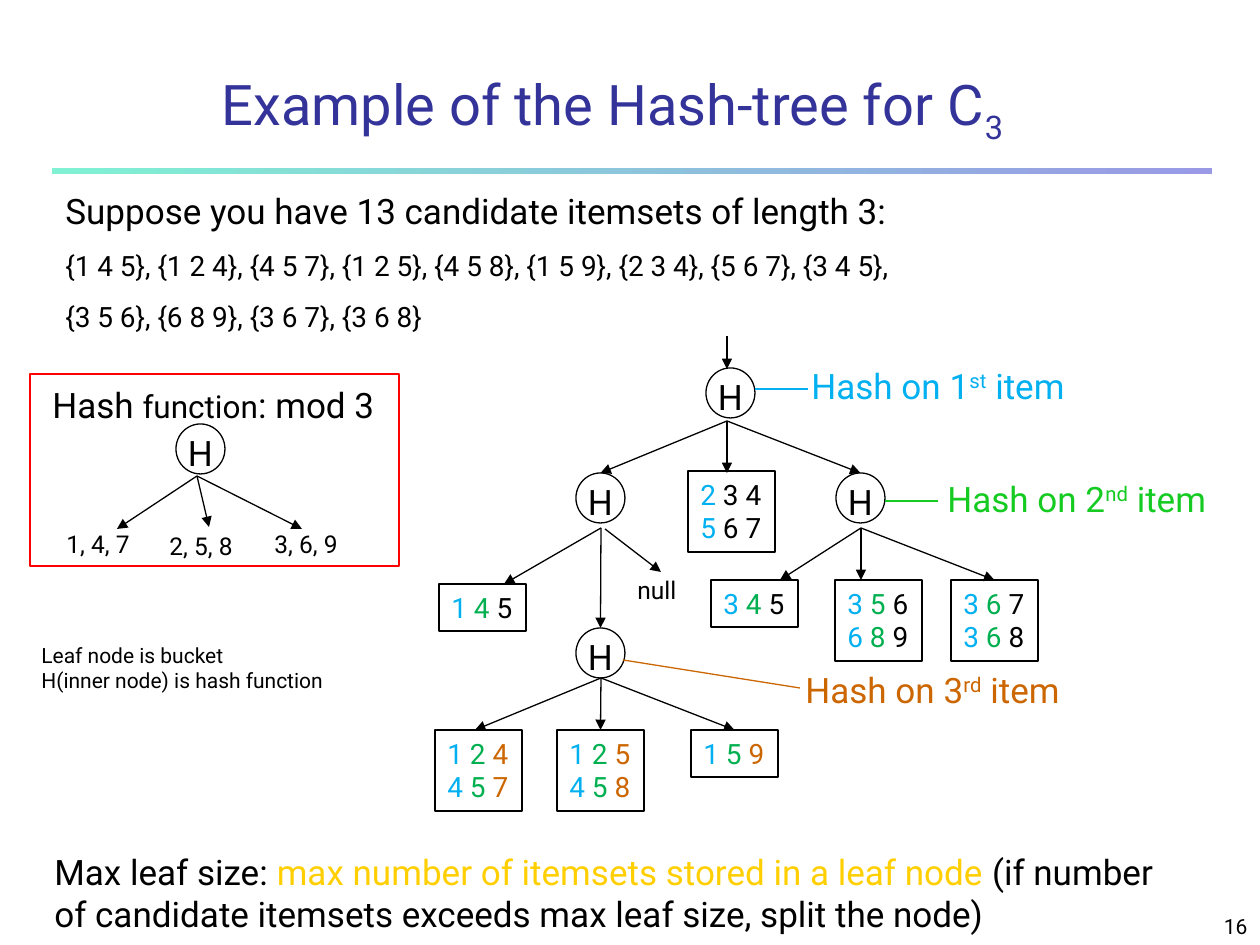
"""Build the slide that shows a hash-tree for candidate itemsets of length 3."""
from lxml import etree
from pptx import Presentation
from pptx.dml.color import RGBColor
from pptx.enum.shapes import MSO_CONNECTOR, MSO_SHAPE
from pptx.enum.text import MSO_ANCHOR, PP_ALIGN
from pptx.oxml.ns import qn
from pptx.util import Pt

PX = 914400 / 126
RECT, OVAL = MSO_SHAPE.RECTANGLE, MSO_SHAPE.OVAL
STRAIGHT = MSO_CONNECTOR.STRAIGHT
LEFT, CENTER, RIGHT = PP_ALIGN.LEFT, PP_ALIGN.CENTER, PP_ALIGN.RIGHT
TOP, MIDDLE, BOTTOM = MSO_ANCHOR.TOP, MSO_ANCHOR.MIDDLE, MSO_ANCHOR.BOTTOM
COLORS = {
    "black": "000000", "title": "333399", "first": "00B0F0", "second": "00B050",
    "second_label": "15CB22", "third": "CC6600", "gold": "FFCF01", "red": "FF0000",
    "bar_start": "80F1D3", "bar_end": "9999E5",
}
RGB = {name: RGBColor.from_string(value) for name, value in COLORS.items()}


def px(*values):
    return [round(v * PX) for v in values]


def write(s, lines, size=20, color="black", align=LEFT, anchor=TOP, wrap=True, gap=0):
    tf = s.text_frame
    tf.word_wrap = wrap
    tf.vertical_anchor = anchor
    for i, line in enumerate(lines):
        p = tf.paragraphs[0] if i == 0 else tf.add_paragraph()
        p.alignment = align
        if i and gap:
            p.space_before = Pt(gap)
        for text, style in line:
            r = p.add_run()
            r.text = text
            r.font.name = "Roboto"
            r.font.size = Pt(style.get("size", size))
            r.font.color.rgb = RGB[style.get("color", color)]
            if "baseline" in style:
                r._r.get_or_add_rPr().set("baseline", str(style["baseline"]))


prs = Presentation()
prs.slide_width, prs.slide_height = px(1260, 945)
slide = prs.slides.add_slide(prs.slide_layouts[5])
shapes = slide.shapes

bar = shapes.add_shape(RECT, *px(52, 168, 1160, 6))
bar.shadow.inherit = False
bar.line.fill.background()
bar.fill.gradient()
bar.fill.gradient_angle = 0
for stop, name in zip(bar.fill.gradient_stops, ("bar_start", "bar_end")):
    stop.color.rgb = RGB[name]

title = shapes.title
title.left, title.top, title.width, title.height = px(209, 79, 961, 73)
write(title, [[("Example of the Hash-tree for C", {}), ("3", {"baseline": -25000})]],
      size=32, color="title", anchor=BOTTOM)

texts = [
    ((53, 183, 1144, 158),
     [[("Suppose you have 13 candidate itemsets of length 3:", {"size": 20})],
      [("{1 4 5}, {1 2 4}, {4 5 7}, {1 2 5}, {4 5 8}, {1 5 9}, {2 3 4}, {5 6 7}, {3 4 5},", {})],
      [("{3 5 6}, {6 8 9}, {3 6 7}, {3 6 8}", {})]], {"size": 16, "gap": 10}),
    ((40, 377, 364, 55),
     [[("Hash ", {}), ("function", {"size": 18}), (": mod 3", {})]], {}),
    ((54, 523, 93, 43), [[("1, 4, 7", {})]], {"size": 14}),
    ((157, 525, 93, 43), [[("2, 5, 8", {})]], {"size": 14}),
    ((262, 523, 93, 43), [[("3, 6, 9", {})]], {"size": 14}),
    ((625, 569, 68, 43), [[("null", {})]], {"size": 14}),
    ((42, 844, 1144, 97),
     [[("Max leaf size: ", {}),
       ("max number of itemsets stored in a leaf node ", {"color": "gold"}),
       ("(if number of candidate itemsets exceeds max leaf size, split the node)", {})]], {}),
    ((998, 892, 262, 53), [[("16", {})]], {"size": 12, "align": RIGHT, "anchor": BOTTOM}),
    ((29, 636, 387, 88),
     [[("Leaf node is bucket", {})], [("H(inner node) is hash function", {})]], {"size": 12}),
]
for x, y, number, suffix, color in [
    (799, 358, 1, "st", "first"), (935, 471, 2, "nd", "second_label"),
    (793, 662, 3, "rd", "third"),
]:
    runs = [(f"Hash on {number}", {}), (suffix, {"baseline": 30000}), (" item", {})]
    texts.append(((x, y, 298, 55), [runs], {"color": color}))
for box, lines, style in texts:
    write(shapes.add_textbox(*px(*box)), lines, **style)

nodes = {}
for name, x, y in [
    ("function", 176, 424), ("root", 706, 368), ("left", 576, 473),
    ("right", 836, 473), ("middle", 576, 628),
]:
    s = nodes[name] = shapes.add_shape(OVAL, *px(x, y, 49, 50))
    s.shadow.inherit = False
    s.fill.background()
    s.line.color.rgb = RGB["black"]
    s.line.width = Pt(0.75)
    tf = s.text_frame
    tf.margin_left, tf.margin_top, tf.margin_right, tf.margin_bottom = px(0, 8, 0, 0)
    write(s, [[("H", {})]], align=CENTER, anchor=MIDDLE, wrap=False)

for x, y, depth, itemsets in [
    (688, 471, 1, ("234", "567")), (439, 584, 2, ("145",)), (711, 580, 2, ("345",)),
    (835, 580, 2, ("356", "689")), (951, 580, 2, ("367", "368")),
    (435, 730, 3, ("124", "457")), (557, 730, 3, ("125", "458")), (691, 730, 3, ("159",)),
]:
    s = nodes[itemsets[0]] = shapes.add_shape(RECT, *px(x, y, 87, 13 + 34 * len(itemsets)))
    s.shadow.inherit = False
    s.fill.background()
    s.line.color.rgb = RGB["black"]
    s.line.width = Pt(0.75)
    colors = ["first", "second", "third"][:depth] + ["black"] * (3 - depth)
    lines = [[(digit + " " * (i < 2), {"color": colors[i]}) for i, digit in enumerate(itemset)]
             for itemset in itemsets]
    write(s, lines, size=16, wrap=False)

for x1, y1, x2, y2, color, target in [
    (197, 476, 117, 529, "black", None), (197, 476, 209, 527, "black", None),
    (197, 476, 302, 529, "black", None), (727, 336, 727, 369, "black", None),
    (727, 421, 601, 473, "black", "left"), (727, 421, 727, 473, "black", None),
    (727, 421, 861, 473, "black", "right"), (601, 528, 504, 584, "black", None),
    (601, 528, 601, 628, "black", "middle"), (605, 529, 661, 572, "black", None),
    (861, 528, 780, 580, "black", None), (861, 528, 861, 580, "black", None),
    (861, 528, 995, 580, "black", "367"), (601, 678, 475, 730, "black", None),
    (601, 678, 601, 730, "black", "125"), (601, 678, 735, 730, "black", "159"),
    (755, 389, 808, 389, "first", None), (885, 501, 938, 501, "second_label", None),
    (623, 660, 800, 688, "third", None),
]:
    c = shapes.add_connector(STRAIGHT, *px(x1, y1, x2, y2))
    c.line.color.rgb = RGB[color]
    c.line.width = Pt(0.75)
    if target:
        c.end_connect(nodes[target], 0)
    if color == "black":
        etree.SubElement(c.line._get_or_add_ln(), qn("a:tailEnd"), type="triangle")
    etree.SubElement(c._element.spPr, qn("a:effectLst"))

frame = shapes.add_shape(RECT, *px(30, 374, 369, 192))
frame.shadow.inherit = False
frame.fill.background()
frame.line.color.rgb = RGB["red"]
frame.line.width = Pt(0.75)

prs.save("out.pptx")
